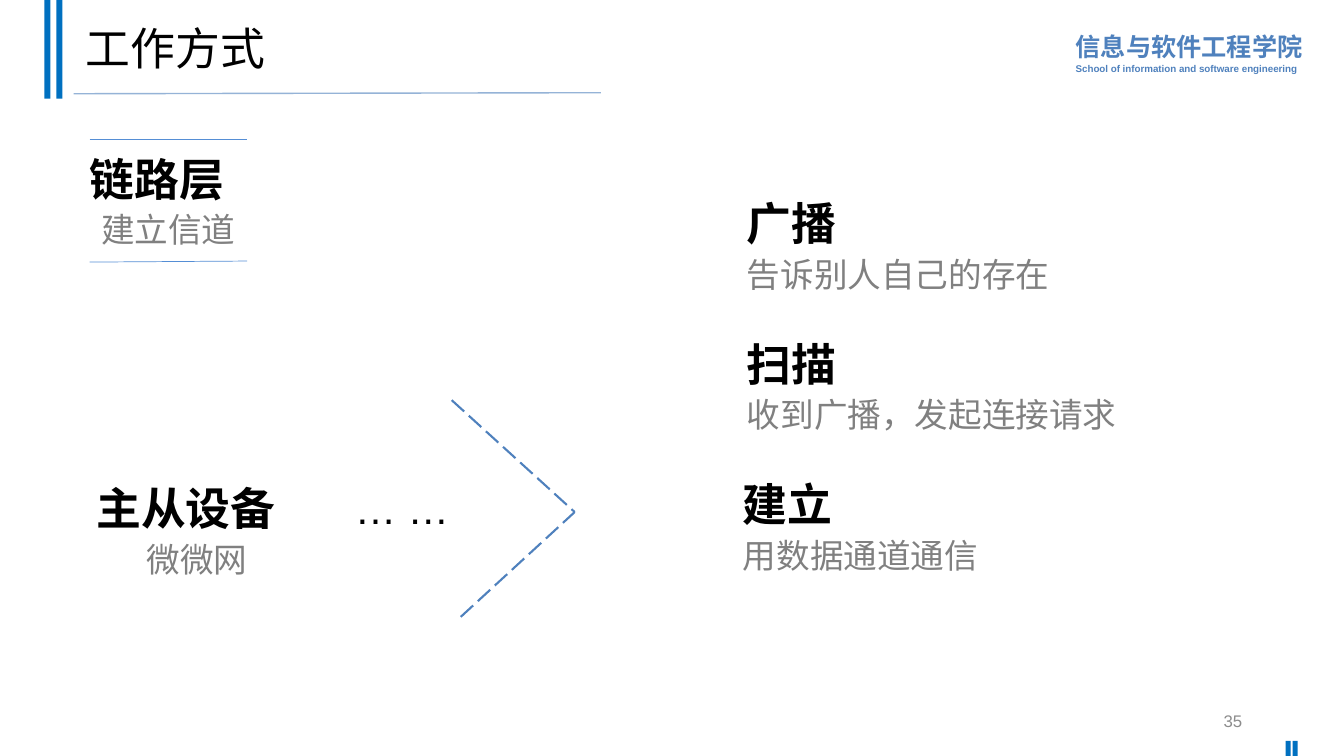
from dataclasses import dataclass

from lxml import etree
from pptx import Presentation
from pptx.dml.color import RGBColor
from pptx.enum.dml import MSO_LINE
from pptx.enum.shapes import MSO_CONNECTOR, MSO_SHAPE
from pptx.enum.text import MSO_ANCHOR, MSO_AUTO_SIZE, PP_ALIGN
from pptx.oxml.ns import qn
from pptx.util import Inches, Pt

WIDTH, HEIGHT = 13.33, 7.5


@dataclass(frozen=True)
class Theme:
    font: str = "Arial"
    black: str = "000000"
    grey: str = "808080"
    number_grey: str = "8C8C8C"
    blue: str = "4F81BD"
    bar: str = "0070C0"
    rule: str = "95B3D7"
    thin_rule: str = "558ED5"
    headline: float = 32
    detail: float = 24
    dots: float = 29.6
    school: float = 18
    school_english: float = 7
    number: float = 12


THEME = Theme()

TITLE = "工作方式"
SCHOOL = ("信息与软件工程学院", "School of information and software engineering")
DOTS = "… …"
PAGE_NUMBER = "35"

# Headline, detail, left, top
TOPIC_WIDTH, STEP_WIDTH, BLOCK_HEIGHT = (1.84, 2.33), 4.96, 1.19
DETAIL_INDENT = 0.22
TOPICS = [
    ("链路层", "建立信道", 0.64, 1.4),
    ("主从设备", "微微网", 0.68, 4.67),
]
STEP_TOP, STEP_PITCH = 1.84, 1.395
STEPS = [
    ("广播", "告诉别人自己的存在", 7.31),
    ("扫描", "收到广播，发起连接请求", 7.31),
    ("建立", "用数据通道通信", 7.27),
]

# Left, width, height, pitch, top of each pair of bars
BAR_PAIRS = [
    (0.44, 0.06, 0.98, 0.12, 0),
    (12.75, 0.05, 0.15, 0.07, HEIGHT - 0.15),
]

# Start, end, colour, weight, dash
ARROW_TIP = (5.7, 5.08)
LINES = [
    ((0.73, 0.93), (5.96, 0.92), THEME.rule, 1, None),
    ((0.89, 1.38), (2.45, 1.38), THEME.thin_rule, 0.5, None),
    ((0.89, 2.6), (2.45, 2.59), THEME.thin_rule, 0.5, None),
    ((4.48, 3.97), ARROW_TIP, THEME.blue, 1.5, MSO_LINE.LONG_DASH),
    ((4.57, 6.12), ARROW_TIP, THEME.blue, 1.5, MSO_LINE.LONG_DASH),
]


def colour(value):
    return RGBColor.from_string(value)


def write(frame, lines, align=PP_ALIGN.LEFT, spacing=1.1, anchor=MSO_ANCHOR.TOP):
    """Fill a text frame with (text, size, colour, bold) lines."""
    frame.word_wrap = True
    frame.auto_size = MSO_AUTO_SIZE.NONE
    frame.vertical_anchor = anchor
    for index, (text, size, ink, bold) in enumerate(lines):
        paragraph = frame.add_paragraph() if index else frame.paragraphs[0]
        paragraph.alignment = align
        paragraph.line_spacing = spacing
        paragraph.space_before = Pt(0)
        run = paragraph.add_run()
        run.text = text
        run.font.name = THEME.font
        run.font.size = Pt(size)
        run.font.bold = bold
        run.font.color.rgb = colour(ink)


def add_text(slide, box, lines, **options):
    frame = slide.shapes.add_textbox(*map(Inches, box)).text_frame
    write(frame, lines, **options)
    return frame


def add_block(slide, headline, detail, box, **options):
    return add_text(slide, box, [
        (headline, THEME.headline, THEME.black, True),
        (detail, THEME.detail, THEME.grey, False),
    ], **options)


def add_bar(slide, box):
    bar = slide.shapes.add_shape(MSO_SHAPE.RECTANGLE, *map(Inches, box))
    bar.shadow.inherit = False
    bar.fill.solid()
    bar.fill.fore_color.rgb = colour(THEME.bar)
    bar.line.fill.background()


def add_line(slide, start, end, ink, weight, dash):
    line = slide.shapes.add_connector(
        MSO_CONNECTOR.STRAIGHT, *map(Inches, start + end))
    line.line.color.rgb = colour(ink)
    line.line.width = Pt(weight)
    if dash:
        line.line.dash_style = dash
    etree.SubElement(line._element.spPr, qn("a:effectLst"))


def main():
    presentation = Presentation()
    presentation.slide_width = Inches(WIDTH)
    presentation.slide_height = Inches(HEIGHT)
    slide = presentation.slides.add_slide(presentation.slide_layouts[5])

    title = slide.shapes.title
    title.left, title.top = Inches(0.75), Inches(0.07)
    title.width, title.height = Inches(11.5), Inches(0.88)
    write(title.text_frame, [(TITLE, THEME.headline, THEME.black, False)],
          spacing=0.9, anchor=MSO_ANCHOR.MIDDLE)

    sizes = (THEME.school, THEME.school_english)
    add_text(slide, (10.57, 0.23, 2.45, 0.56),
             [(text, size, THEME.blue, True) for text, size in zip(SCHOOL, sizes)])

    for left, width, height, pitch, top in BAR_PAIRS:
        for column in range(2):
            add_bar(slide, (left + column * pitch, top, width, height))
    for line in LINES:
        add_line(slide, *line)

    for (headline, detail, left, top), width in zip(TOPICS, TOPIC_WIDTH):
        frame = add_block(slide, headline, detail,
                          (left, top, width, BLOCK_HEIGHT), align=PP_ALIGN.CENTER)
        properties = frame.paragraphs[1]._p.get_or_add_pPr()
        properties.set("marL", str(Inches(DETAIL_INDENT)))
        properties.set("indent", "0")

    for row, (headline, detail, left) in enumerate(STEPS):
        top = STEP_TOP + row * STEP_PITCH
        add_block(slide, headline, detail, (left, top, STEP_WIDTH, BLOCK_HEIGHT))

    add_text(slide, (3.42, 4.63, 1.19, 0.88),
             [(DOTS, THEME.dots, THEME.black, False)],
             spacing=0.9, anchor=MSO_ANCHOR.MIDDLE)
    add_text(slide, (9.42, 6.95, 3, 0.4),
             [(PAGE_NUMBER, THEME.number, THEME.number_grey, False)],
             align=PP_ALIGN.RIGHT, spacing=1.0, anchor=MSO_ANCHOR.MIDDLE)

    presentation.save("out.pptx")


if __name__ == "__main__":
    main()
